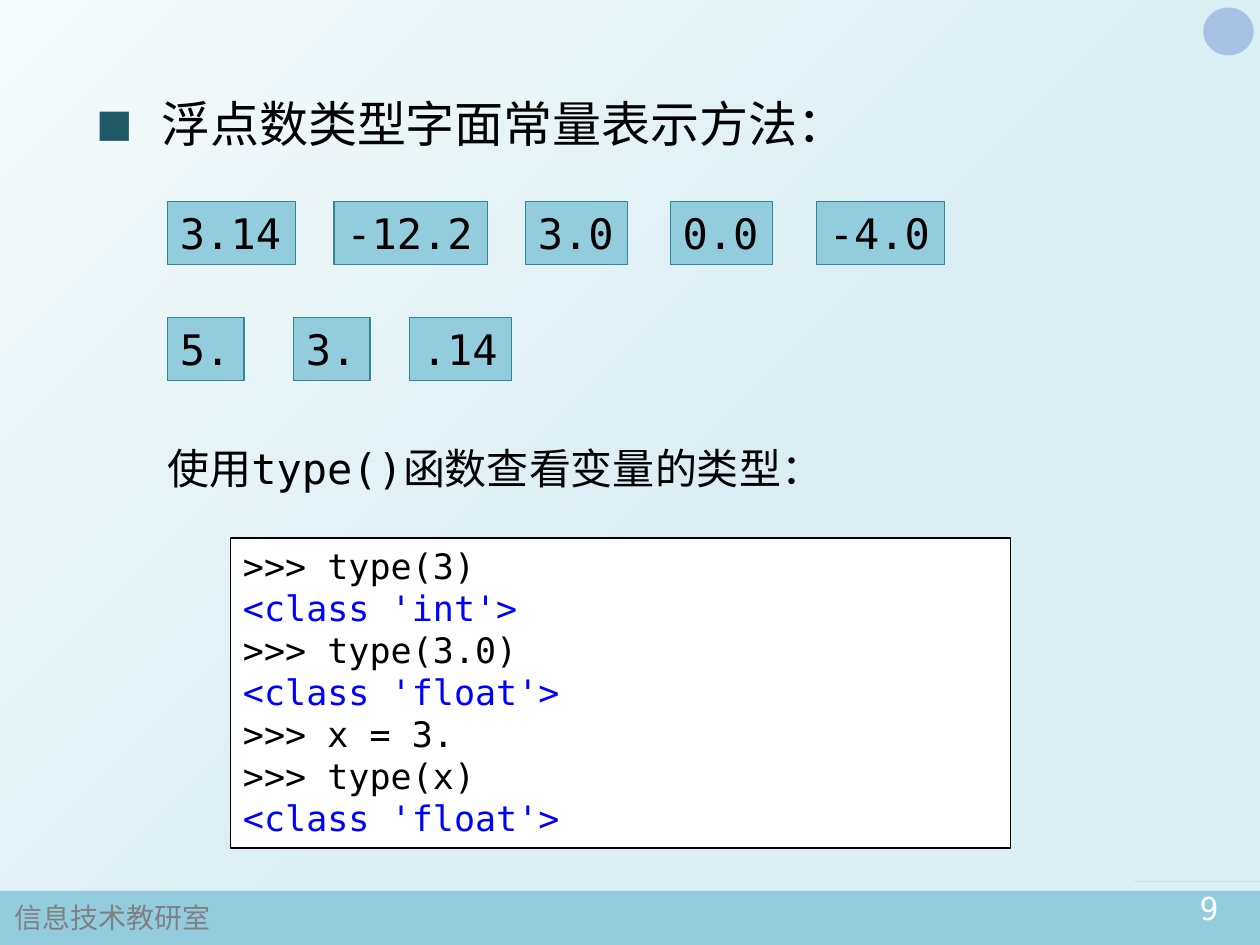
import math
from dataclasses import dataclass

from lxml import etree
from pptx import Presentation
from pptx.dml.color import RGBColor
from pptx.enum.lang import MSO_LANGUAGE_ID
from pptx.enum.shapes import MSO_SHAPE
from pptx.enum.text import MSO_ANCHOR, MSO_AUTO_SIZE, PP_ALIGN
from pptx.oxml.ns import qn
from pptx.util import Inches, Pt

RECTANGLE, OVAL = MSO_SHAPE.RECTANGLE, MSO_SHAPE.OVAL
TOP = MSO_ANCHOR.TOP
LEFT, CENTER = PP_ALIGN.LEFT, PP_ALIGN.CENTER
NO_AUTOFIT = MSO_AUTO_SIZE.NONE
CHINESE = MSO_LANGUAGE_ID.SIMPLIFIED_CHINESE

HEADING = "浮点数类型字面常量表示方法："
HINT = "使用type()函数查看变量的类型："
DEPARTMENT = "信息技术教研室"
PAGE_NUMBER = "9"

# Row top, then (left, literal) pairs
LITERAL_ROWS = [
    (1.6, [(1.33, "3.14"), (2.65, "-12.2"), (4.17, "3.0"), (5.32, "0.0"), (6.48, "-4.0")]),
    (2.52, [(1.33, "5."), (2.33, "3."), (3.25, ".14")]),
]
SESSION = [
    ">>> type(3)",
    "<class 'int'>",
    ">>> type(3.0)",
    "<class 'float'>",
    ">>> x = 3.",
    ">>> type(x)",
    "<class 'float'>",
]


@dataclass(frozen=True)
class Theme:
    mono: str = "DejaVu Sans Mono"
    chinese: str = "Noto Sans CJK JP"
    heading: int = 28
    body: int = 24
    code: int = 20
    page: int = 18
    footer: int = 16
    ink: str = "000000"
    paper: str = "FFFFFF"
    output: str = "0000FF"
    muted: str = "808080"
    bullet: str = "215968"
    band: str = "93CDDD"
    accent: str = "31859C"
    badge: str = "A6C3E6"
    sky_light: str = "F6FBFC"
    sky: str = "DBEEF4"


THEME = Theme()


def rgb(color):
    return RGBColor.from_string(color)


def add_run(paragraph, text, size, color=THEME.ink, latin=THEME.mono):
    run = paragraph.add_run()
    run.text = text
    run.font.size = Pt(size)
    run.font.name = latin
    run.font.color.rgb = rgb(color)
    run.font.language_id = CHINESE
    east_asian = etree.Element(qn("a:ea"), typeface=THEME.chinese)
    run.font._element.find(qn("a:latin")).addnext(east_asian)


def paint(shape, fill, line=None, width=0.75):
    shape.shadow.inherit = False
    shape.fill.solid()
    shape.fill.fore_color.rgb = rgb(fill)
    if line:
        shape.line.color.rgb = rgb(line)
        shape.line.width = Pt(width)
    else:
        shape.line.fill.background()


def add_block(slide, kind, box, fill, line=None, width=0.75):
    shape = slide.shapes.add_shape(kind, *map(Inches, box))
    paint(shape, fill, line, width)
    shape.text_frame.vertical_anchor = TOP
    return shape


def add_label(slide, box, text, size, color=THEME.ink, align=LEFT, wrap=False, latin=THEME.mono):
    frame = slide.shapes.add_textbox(*map(Inches, box)).text_frame
    frame.word_wrap = wrap
    frame.paragraphs[0].alignment = align
    add_run(frame.paragraphs[0], text, size, color, latin)


def arc(cx, cy, rx, ry, start, end, steps=12):
    """Points on an ellipse; angles in degrees, counter-clockwise from the right."""
    angles = [math.radians(start + (end - start) * i / steps) for i in range(steps + 1)]
    return [(cx + rx * math.cos(a), cy - ry * math.sin(a)) for a in angles]


def add_ribbon(slide):
    banner = [
        *arc(9.82, 6.97, 0.04, 0.07, 90, 180),
        (9.78, 7.49), (9.59, 7.41), (9.41, 7.49),
        *arc(9.51, 7, 0.1, 0.1, 180, 90),
    ]
    curl = [*arc(9.88, 6.98, 0.08, 0.08, 0, 180), (9.8, 7.07), (9.96, 7.07)]
    builder = slide.shapes.build_freeform(*banner[0], scale=Inches(1))
    builder.add_line_segments(banner[1:], close=True)
    builder.move_to(*curl[0])
    builder.add_line_segments(curl[1:], close=True)
    paint(builder.convert_to_shape(), THEME.accent)


def set_background(slide):
    fill = slide.background.fill
    fill.gradient()
    fill.gradient_angle = 315
    stops = [(0, THEME.sky_light), (0.56, THEME.sky)]
    for stop, (position, color) in zip(fill.gradient_stops, stops):
        stop.position = position
        stop.color.rgb = rgb(color)


def set_heading(slide):
    title = slide.shapes.title
    title.left, title.top, title.width, title.height = map(Inches, (0.69, 0.6, 8.62, 0.8))
    frame = title.text_frame
    frame.vertical_anchor = TOP
    frame.auto_size = NO_AUTOFIT
    paragraph = frame.paragraphs[0]
    paragraph.alignment = LEFT
    paragraph.line_spacing = 1.2
    paragraph.space_before = Pt(10)
    properties = paragraph._p.get_or_add_pPr()
    properties.set("marL", str(Inches(0.49)))
    properties.set("indent", str(-Inches(0.49)))
    bullet_color = etree.SubElement(properties, qn("a:buClr"))
    etree.SubElement(bullet_color, qn("a:srgbClr"), val=THEME.bullet)
    etree.SubElement(properties, qn("a:buFont"), typeface=THEME.mono)
    etree.SubElement(properties, qn("a:buChar"), char="■")
    add_run(paragraph, HEADING, THEME.heading)


def add_literals(slide):
    for top, literals in LITERAL_ROWS:
        for left, literal in literals:
            box = (left, top, 0.2 + 0.204 * len(literal), 0.5)
            chip = add_block(slide, RECTANGLE, box, THEME.band, THEME.accent)
            chip.text_frame.word_wrap = False
            paragraph = chip.text_frame.paragraphs[0]
            paragraph.alignment = LEFT
            add_run(paragraph, literal, THEME.body)


def add_session(slide):
    panel = add_block(slide, RECTANGLE, (1.83, 4.27, 6.19, 2.46), THEME.paper, THEME.ink, 1)
    frame = panel.text_frame
    for index, entry in enumerate(SESSION):
        paragraph = frame.add_paragraph() if index else frame.paragraphs[0]
        paragraph.alignment = LEFT
        color = THEME.ink if entry.startswith(">>>") else THEME.output
        add_run(paragraph, entry, THEME.code, color)


def main():
    deck = Presentation()
    deck.slide_width, deck.slide_height = Inches(10), Inches(7.5)
    slide = deck.slides.add_slide(deck.slide_layouts[5])
    set_background(slide)
    add_block(slide, OVAL, (9.55, 0.06, 0.4, 0.38), THEME.badge)
    add_block(slide, RECTANGLE, (0, 7.07, 10, 0.43), THEME.band)
    add_ribbon(slide)
    add_label(slide, (0.02, 7.1, 1.77, 0.37), DEPARTMENT, THEME.footer, THEME.muted,
              latin=THEME.chinese)
    set_heading(slide)
    add_label(slide, (9.24, 7.01, 0.71, 0.4), PAGE_NUMBER, THEME.page, THEME.paper, CENTER, True)
    add_literals(slide)
    add_session(slide)
    add_label(slide, (1.23, 3.46, 5.46, 0.5), HINT, THEME.body)
    deck.save("out.pptx")


if __name__ == "__main__":
    main()
